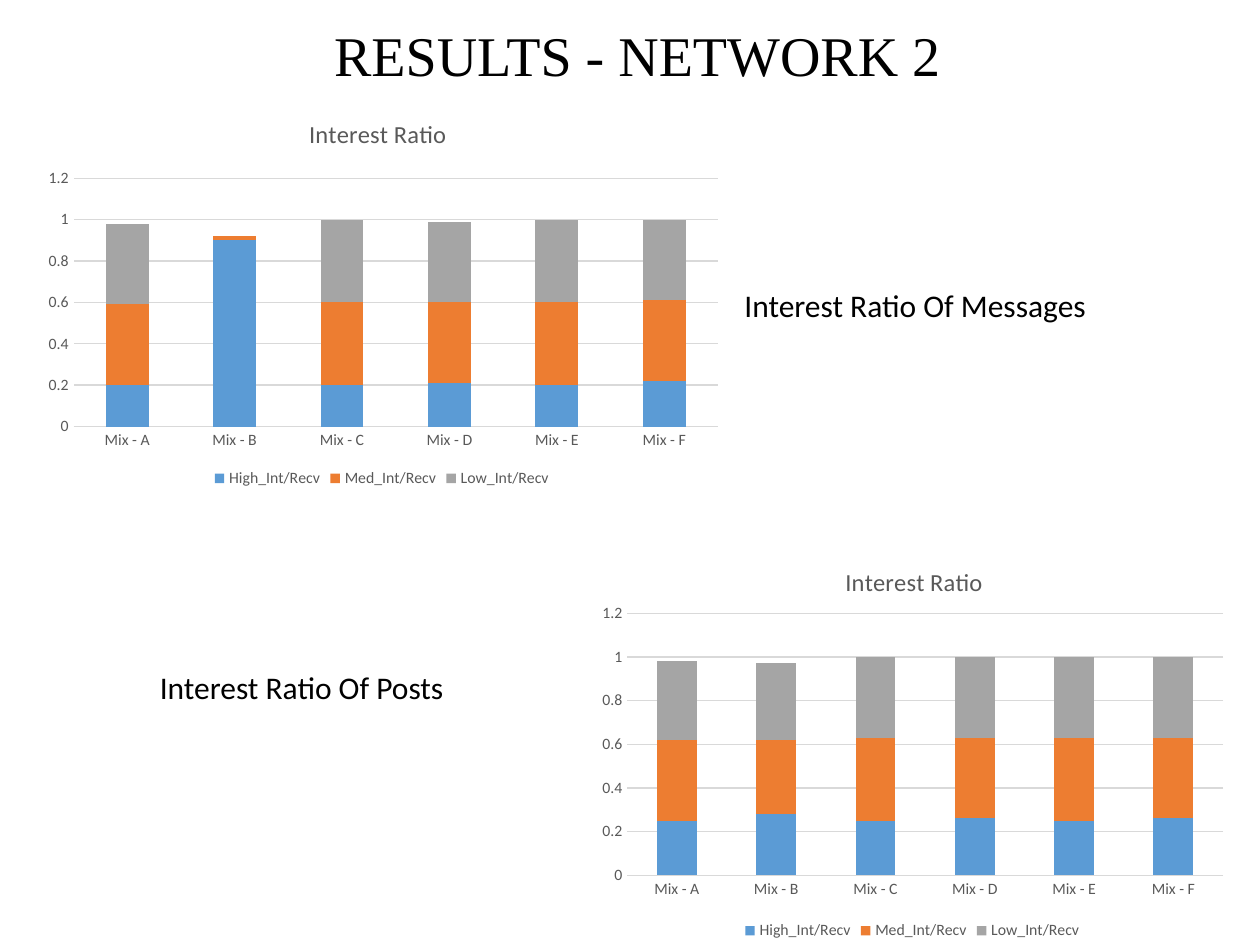
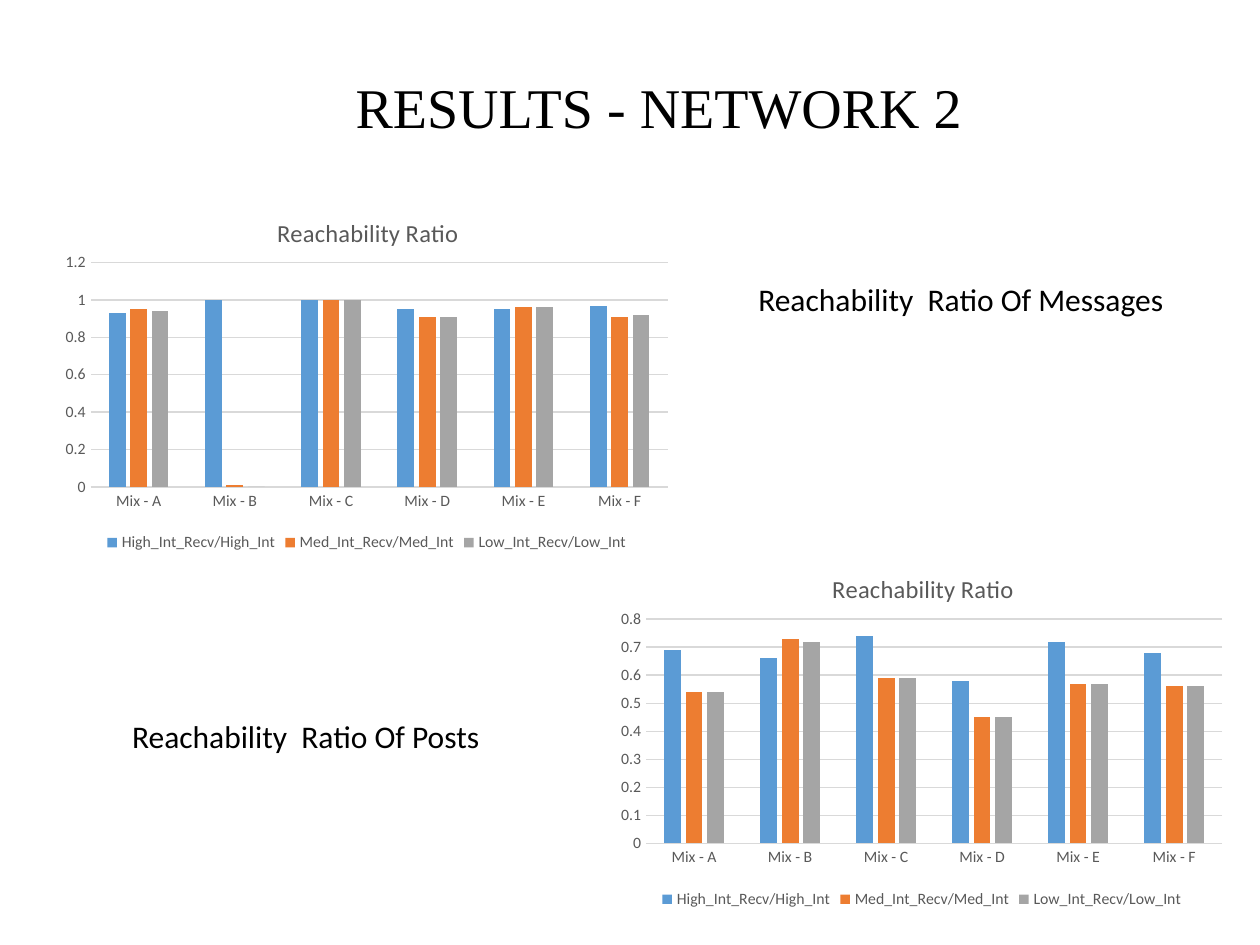
"""Build two slides comparing interest and reachability ratios for network 2."""
from lxml import etree
from pptx import Presentation
from pptx.chart.data import CategoryChartData
from pptx.dml.color import RGBColor
from pptx.enum.chart import XL_CHART_TYPE, XL_LEGEND_POSITION, XL_TICK_MARK
from pptx.enum.text import MSO_ANCHOR, PP_ALIGN
from pptx.oxml.ns import qn
from pptx.util import Pt

STACKED = XL_CHART_TYPE.COLUMN_STACKED
CLUSTERED = XL_CHART_TYPE.COLUMN_CLUSTERED
BOTTOM = XL_LEGEND_POSITION.BOTTOM
NO_TICK = XL_TICK_MARK.NONE
TOP, MIDDLE = MSO_ANCHOR.TOP, MSO_ANCHOR.MIDDLE
LEFT, CENTER = PP_ALIGN.LEFT, PP_ALIGN.CENTER

BLACK = RGBColor(0x00, 0x00, 0x00)
GRAY = RGBColor(0x59, 0x59, 0x59)
RULE = RGBColor(0xD9, 0xD9, 0xD9)
SERIES_COLORS = [
    RGBColor(0x5B, 0x9B, 0xD5),
    RGBColor(0xED, 0x7D, 0x31),
    RGBColor(0xA5, 0xA5, 0xA5),
]
BODY_FONT, TITLE_FONT = "Calibri", "Times New Roman"
MIXES = [f"Mix - {letter}" for letter in "ABCDEF"]

SLIDES = [
    {
        "title_box": (54, 0, 620.64, 66.96),
        "chart_title": "Interest Ratio",
        "title_x": 0.39,
        "type": STACKED, "gap": 150, "overlap": 100,
        "plot": {"x": 0.06, "y": 0.19, "w": 0.92, "h": 0.64},
        "series": ["High_Int/Recv", "Med_Int/Recv", "Low_Int/Recv"],
        "charts": [
            {"box": (18, 59.76, 400.32, 221.76), "title_y": 0.02, "max": 1.2, "step": 0.2,
             "values": [(0.2, 0.9, 0.2, 0.21, 0.2, 0.22),
                        (0.39, 0.02, 0.4, 0.39, 0.4, 0.39),
                        (0.39, 0, 0.4, 0.39, 0.4, 0.39)]},
            {"box": (336.24, 306, 370.08, 234), "title_y": 0.06, "max": 1.2, "step": 0.2,
             "values": [(0.25, 0.28, 0.25, 0.26, 0.25, 0.26),
                        (0.37, 0.34, 0.38, 0.37, 0.38, 0.37),
                        (0.36, 0.35, 0.37, 0.37, 0.37, 0.37)]},
        ],
        "captions": [
            ("Interest Ratio Of Messages", (418.32, 159.84, 211.68, 51.12)),
            ("Interest Ratio Of Posts", (84.24, 378, 182.88, 28.8)),
        ],
    },
    {
        "title_box": (66.24, 23.76, 620.64, 79.2),
        "chart_title": "Reachability Ratio",
        "title_x": 0.35,
        "type": CLUSTERED, "gap": 219, "overlap": -27,
        "plot": {"x": 0.06, "y": 0.2, "w": 0.92, "h": 0.61},
        "series": ["High_Int_Recv/High_Int", "Med_Int_Recv/Med_Int", "Low_Int_Recv/Low_Int"],
        "charts": [
            {"box": (347.76, 311.76, 357.84, 210.24), "title_y": 0.06, "max": 0.8, "step": 0.1,
             "values": [(0.69, 0.66, 0.74, 0.58, 0.72, 0.68),
                        (0.54, 0.73, 0.59, 0.45, 0.57, 0.56),
                        (0.54, 0.72, 0.59, 0.45, 0.57, 0.56)]},
            {"box": (30.24, 108, 358.56, 210.24), "title_y": 0.06, "max": 1.2, "step": 0.2,
             "values": [(0.93, 1, 1, 0.95, 0.95, 0.97),
                        (0.95, 0.01, 1, 0.91, 0.96, 0.91),
                        (0.94, 0, 1, 0.91, 0.96, 0.92)]},
        ],
        "captions": [
            ("Reachability  Ratio Of Messages", (426.24, 156.24, 248.4, 28.8)),
            ("Reachability  Ratio Of Posts", (68.4, 406.08, 222.48, 28.8)),
        ],
    },
]


def add_text(slide, text, box, size=18, font=BODY_FONT, align=LEFT, anchor=TOP,
             wrap=False, line_spacing=1.0):
    """Add a single-paragraph text box."""
    tf = slide.shapes.add_textbox(*map(Pt, box)).text_frame
    tf.word_wrap = wrap
    tf.vertical_anchor = anchor
    p = tf.paragraphs[0]
    p.alignment = align
    p.line_spacing = line_spacing
    r = p.add_run()
    r.text = text
    r.font.size = Pt(size)
    r.font.name = font
    r.font.color.rgb = BLACK


def set_layout(parent, after, **values):
    """Place a chart part at fractions of the chart area."""
    for old in parent.findall(qn("c:layout")):
        parent.remove(old)
    layout = etree.Element(qn("c:layout"))
    manual = etree.SubElement(layout, qn("c:manualLayout"))
    if "w" in values:
        etree.SubElement(manual, qn("c:layoutTarget")).set("val", "inner")
    for key in "xy":
        etree.SubElement(manual, qn(f"c:{key}Mode")).set("val", "edge")
    for key, value in values.items():
        etree.SubElement(manual, qn(f"c:{key}")).set("val", str(value))
    if after is None:
        parent.insert(0, layout)
    else:
        after.addnext(layout)


prs = Presentation()
prs.slide_width, prs.slide_height = Pt(720), Pt(540)

for page in SLIDES:
    s = prs.slides.add_slide(prs.slide_layouts[6])
    add_text(s, "RESULTS - NETWORK 2", page["title_box"], size=32, font=TITLE_FONT,
             align=CENTER, anchor=MIDDLE, wrap=True, line_spacing=0.9)

    for item in page["charts"]:
        data = CategoryChartData()
        data.categories = MIXES
        for name, values in zip(page["series"], item["values"]):
            data.add_series(name, values)
        chart = s.shapes.add_chart(page["type"], *map(Pt, item["box"]), data).chart
        chart.font.name = BODY_FONT
        chart.font.size = Pt(10)
        chart.font.color.rgb = BLACK

        chart.has_title = True
        p = chart.chart_title.text_frame.paragraphs[0]
        r = p.add_run()
        r.text = page["chart_title"]
        r.font.size = Pt(14)
        r.font.bold = False
        r.font.name = BODY_FONT
        r.font.color.rgb = GRAY
        title = chart.chart_title._element
        set_layout(title, title.find(qn("c:tx")), x=page["title_x"], y=item["title_y"])

        chart.has_legend = True
        chart.legend.position = BOTTOM
        chart.legend.include_in_layout = False

        plot = chart.plots[0]
        plot.gap_width = page["gap"]
        plot.overlap = page["overlap"]
        plot.vary_by_categories = False
        for series, color in zip(plot.series, SERIES_COLORS):
            series.format.fill.solid()
            series.format.fill.fore_color.rgb = color
        set_layout(plot._element.getparent(), None, **page["plot"])

        cat_axis, val_axis = chart.category_axis, chart.value_axis
        for axis in (cat_axis, val_axis):
            axis.major_tick_mark = axis.minor_tick_mark = NO_TICK
        for part in (cat_axis.tick_labels, val_axis.tick_labels, chart.legend):
            part.font.size = Pt(9)
            part.font.name = BODY_FONT
            part.font.color.rgb = GRAY
        val_axis.minimum_scale = 0
        val_axis.maximum_scale = item["max"]
        val_axis.major_unit = item["step"]
        val_axis.tick_labels.number_format = "General"
        val_axis.tick_labels.number_format_is_linked = False
        val_axis.format.line.fill.background()
        for rule in (cat_axis.format.line, val_axis.major_gridlines.format.line):
            rule.width = Pt(0.75)
            rule.color.rgb = RULE

    for caption, box in page["captions"]:
        add_text(s, caption, box)

prs.save("out.pptx")
